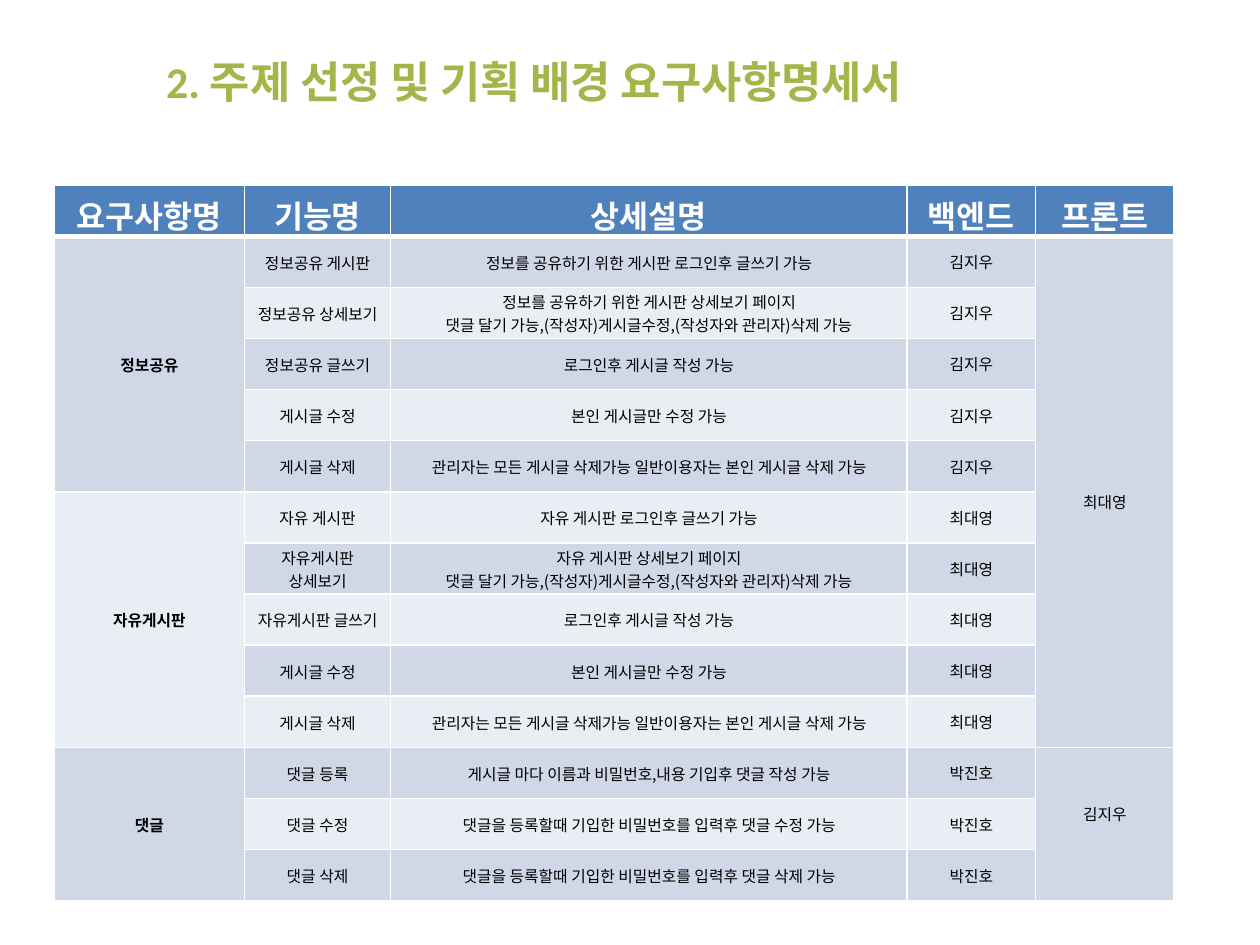
from lxml.etree import SubElement
from pptx import Presentation
from pptx.dml.color import RGBColor
from pptx.enum.text import MSO_ANCHOR as Anchor, PP_ALIGN as Align
from pptx.oxml.ns import qn
from pptx.util import Inches, Pt

BODY_FONT = "Noto Sans CJK KR"
HEADINGS = ["요구사항명", "기능명", "상세설명", "백엔드", "프론트"]
COLUMN_WIDTHS = [1.51, 1.16, 4.1, 1.02, 1.1]
MEMBER_RIGHTS = "댓글 달기 가능,(작성자)게시글수정,(작성자와 관리자)삭제 가능"
WRITE = "로그인후 게시글 작성 가능"
EDIT = ("게시글 수정", "본인 게시글만 수정 가능")
DELETE = ("게시글 삭제", "관리자는 모든 게시글 삭제가능 일반이용자는 본인 게시글 삭제 가능")
REQUIREMENTS = [
    ("정보공유", "김지우", [
        ("정보공유 게시판", "정보를 공유하기 위한 게시판 로그인후 글쓰기 가능"),
        ("정보공유 상세보기", "정보를 공유하기 위한 게시판 상세보기 페이지\v" + MEMBER_RIGHTS),
        ("정보공유 글쓰기", WRITE), EDIT, DELETE]),
    ("자유게시판", "최대영", [
        ("자유 게시판", "자유 게시판 로그인후 글쓰기 가능"),
        ("자유게시판\n상세보기", "자유 게시판 상세보기 페이지\v" + MEMBER_RIGHTS),
        ("자유게시판 글쓰기", WRITE), EDIT, DELETE]),
    ("댓글", "박진호", [
        ("댓글 등록", "게시글 마다 이름과 비밀번호,내용 기입후 댓글 작성 가능"),
        ("댓글 수정", "댓글을 등록할때 기입한 비밀번호를 입력후 댓글 수정 가능"),
        ("댓글 삭제", "댓글을 등록할때 기입한 비밀번호를 입력후 댓글 삭제 가능")]),
]
# first row, last row, developer, top margin, bottom margin
FRONTEND = [(1, 10, "최대영", 0.21, 0.05), (11, 13, "김지우", 0.05, 0.21)]


def style_text(frame, font_name, size, color, bold, align):
    for paragraph in frame.paragraphs:
        paragraph.alignment = align
        for run in paragraph.runs:
            run.font.name = font_name
            run.font.size = Pt(size)
            run.font.bold = bold
            run.font.color.rgb = RGBColor.from_string(color)


def paint_cell(cell, color, bottom_width):
    """Give the cell white borders and a solid fill."""
    properties = cell._tc.get_or_add_tcPr()
    for side, width in (("L", 1), ("R", 1), ("T", 1), ("B", bottom_width)):
        border = SubElement(properties, qn(f"a:ln{side}"), w=str(Pt(width)))
        SubElement(SubElement(border, qn("a:solidFill")), qn("a:srgbClr"), val="FFFFFF")
    cell.fill.solid()
    cell.fill.fore_color.rgb = RGBColor.from_string(color)
    cell.vertical_anchor = Anchor.MIDDLE


prs = Presentation()
prs.slide_width, prs.slide_height = Inches(10), Inches(7.5)
slide = prs.slides.add_slide(prs.slide_layouts[6])

title = slide.shapes.add_textbox(Inches(1.22), Inches(0.25), Inches(8.28), Inches(0.79)).text_frame
title.word_wrap = True
title.vertical_anchor = Anchor.MIDDLE
title.text = "2. 주제 선정 및 기획 배경 요구사항명세서"
style_text(title, "Calibri", 25, "A5B54A", True, Align.LEFT)

row_count = 1 + sum(len(features) for _, _, features in REQUIREMENTS)
table = slide.shapes.add_table(row_count, len(HEADINGS), Inches(0.43), Inches(1.47),
                               Inches(8.89), Inches(5.68)).table
for column, width in zip(table.columns, COLUMN_WIDTHS):
    column.width = Inches(width)

for column, heading in enumerate(HEADINGS):
    table.cell(0, column).text = heading

row = 1
for requirement, backend, features in REQUIREMENTS:
    table.cell(row, 0).text = requirement
    table.cell(row, 0).merge(table.cell(row + len(features) - 1, 0))
    for feature, detail in features:
        for column, text in enumerate((feature, detail, backend), start=1):
            table.cell(row, column).text = text
        row += 1

for first, last, developer, top, bottom in FRONTEND:
    cell = table.cell(first, 4)
    cell.text = developer
    cell.merge(table.cell(last, 4))
    cell.margin_top, cell.margin_bottom = Inches(top), Inches(bottom)

for row in range(row_count):
    for column in range(len(HEADINGS)):
        cell = table.cell(row, column)
        if row == 0:
            paint_cell(cell, "4F81BD", 3)
            style_text(cell.text_frame, "Calibri", 18, "FFFFFF", True, Align.CENTER)
            continue
        paint_cell(cell, "D0D8E8" if row % 2 else "E9EDF4", 1)
        font_name = "Calibri" if column == 3 and row < 12 else BODY_FONT
        style_text(cell.text_frame, font_name, 9, "000000", column == 0, Align.CENTER)
        if column < 3 or (column == 3 and row >= 12):
            cell.margin_left = cell.margin_right = cell.margin_top = Inches(0.01)
            cell.margin_bottom = 0

prs.save("out.pptx")
